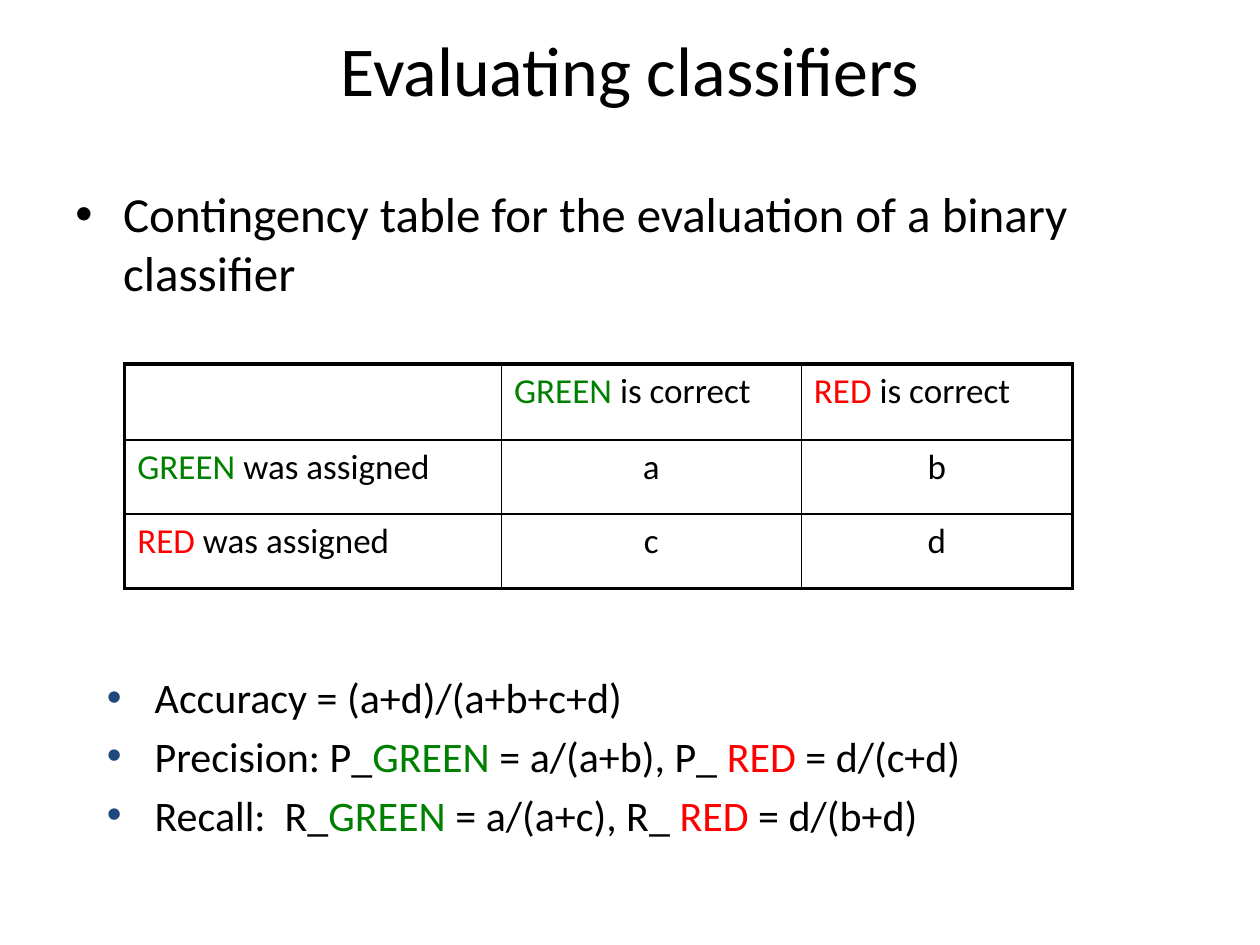
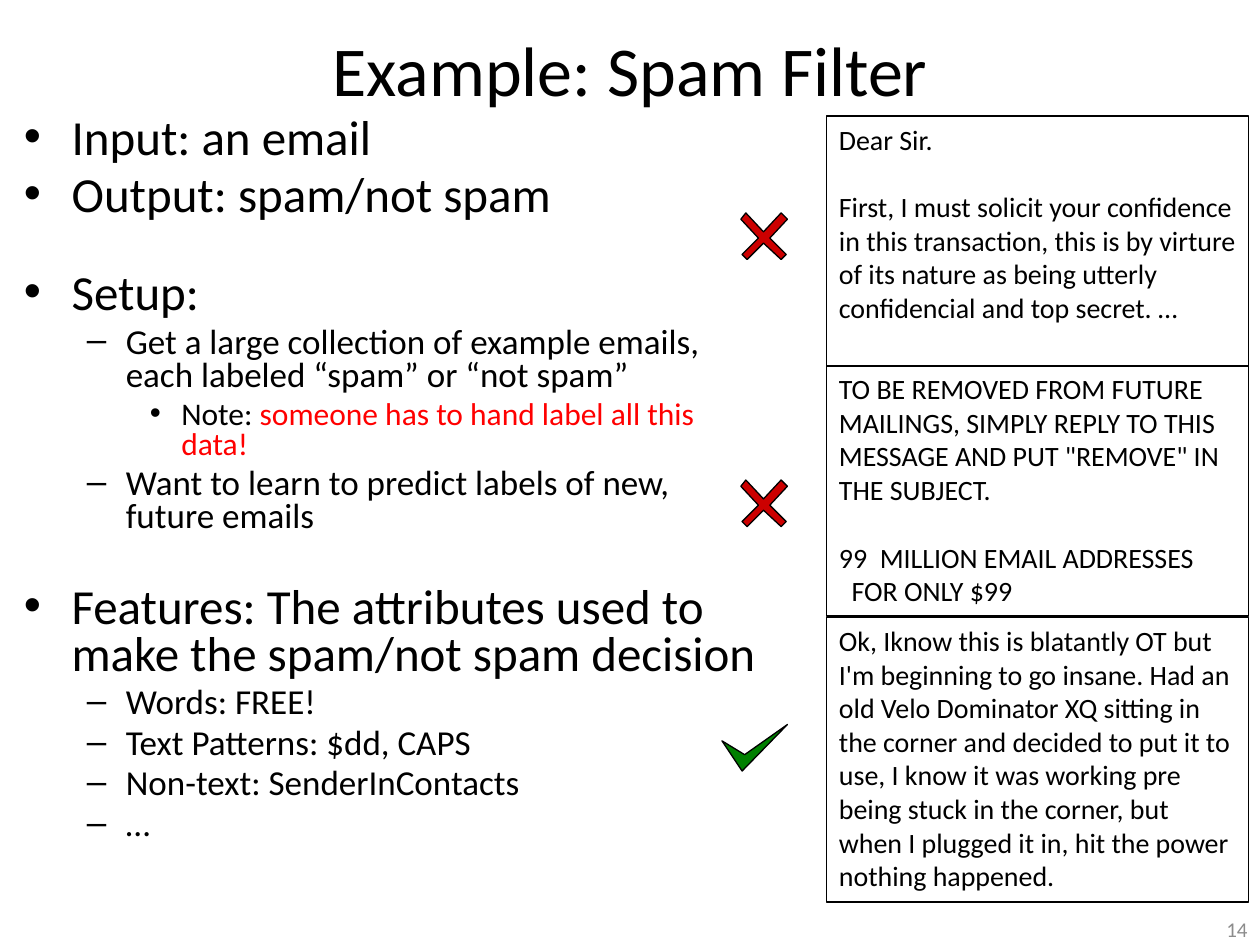
from pptx import Presentation
from pptx.dml.color import RGBColor
from pptx.enum.shapes import MSO_SHAPE
from pptx.enum.text import MSO_ANCHOR, PP_ALIGN
from pptx.oxml.ns import qn
from pptx.util import Inches, Pt
from lxml import etree

LEFT, CENTER, RIGHT = PP_ALIGN.LEFT, PP_ALIGN.CENTER, PP_ALIGN.RIGHT
TOP, MIDDLE = MSO_ANCHOR.TOP, MSO_ANCHOR.MIDDLE
RECTANGLE = MSO_SHAPE.RECTANGLE

BLACK = RGBColor(0x00, 0x00, 0x00)
GREEN = RGBColor(0x00, 0x80, 0x00)
RED = RGBColor(0xFF, 0x00, 0x00)
CROSS_RED = RGBColor(0xCC, 0x00, 0x00)
NAVY = RGBColor(0x1F, 0x49, 0x7D)
GRAY = RGBColor(0x8C, 0x8C, 0x8C)
FONT = "Calibri"

# Pieces of text between bars that take their own colour
NOTE = "someone has to hand label all this data!"
ACCENTS = {"GREEN": GREEN, "RED": RED, NOTE: RED}

# Bullet levels: mark, left margin and hang in inches
LEVELS = [("•", 0.38, 0.38), ("–", 0.81, 0.31), ("•", 1.25, 0.25)]

prs = Presentation()
prs.slide_width, prs.slide_height = Inches(10), Inches(7.5)
COL = prs.slide_width // 100    # the slide is a grid of 100 columns
ROW = prs.slide_height // 75    # and 75 rows


def add_text(tf, lines, color=BLACK, align=LEFT, anchor=TOP, spacing=None, mark_color=None):
    """Write lines of (text, size, bullet level or None, extra space before)."""
    tf.word_wrap = True
    tf.vertical_anchor = anchor
    for i, (text, size, level, gap) in enumerate(lines):
        p = tf.add_paragraph() if i else tf.paragraphs[0]
        p.alignment = align
        if spacing:
            p.line_spacing = spacing
        p.space_before = Pt(gap if level is None else gap + 0.2 * size)
        for piece in text.split("|"):
            r = p.add_run()
            r.text = piece
            r.font.name, r.font.size = FONT, Pt(size)
            r.font.color.rgb = ACCENTS.get(piece.strip(), color)
        if level is not None:
            mark, margin, hang = LEVELS[level]
            pPr = p._p.get_or_add_pPr()
            pPr.set("marL", str(Inches(margin)))
            pPr.set("indent", str(-Inches(hang)))
            if mark_color:
                clr = etree.SubElement(pPr, qn("a:buClr"))
                etree.SubElement(clr, qn("a:srgbClr"), val=str(mark_color))
            etree.SubElement(pPr, qn("a:buFont"), typeface="Arial")
            etree.SubElement(pPr, qn("a:buChar"), char=mark)


def add_box(s, x, y, w, h, lines, **style):
    """Place a text box on the grid."""
    sp = s.shapes.add_textbox(int(x * COL), int(y * ROW), int(w * COL), int(h * ROW))
    add_text(sp.text_frame, lines, **style)


# Both slides: title
slides = []
for title in ("Evaluating classifiers", "Example: Spam Filter"):
    s = prs.slides.add_slide(prs.slide_layouts[6])
    add_box(s, 0, 0, 100, 10.8, [(title, 40, None, 0)], align=CENTER, anchor=MIDDLE)
    slides.append(s)
metrics, spam = slides

# Slide 1: introduction and formulas
add_box(metrics, 5, 14.1, 85, 13.3,
        [("Contingency table for the evaluation of a binary classifier", 28, 0, 0)])
formulas = [
    "Accuracy = (a+d)/(a+b+c+d)",
    "Precision: P_|GREEN| = a/(a+b), P_ |RED |= d/(c+d)",
    "Recall:  R_|GREEN| = a/(a+c), R_ |RED |= d/(b+d)",
]
add_box(metrics, 7.5, 52.8, 85, 16, [(f, 24, 0, 0) for f in formulas], mark_color=NAVY)

# Slide 1: contingency table
rows = [
    ("", "GREEN| is correct", "RED| is correct"),
    ("GREEN| was assigned", "a", "b"),
    ("RED| was assigned", "c", "d"),
]
widths, heights = (29.9, 23.8, 21.5), (6, 5.9, 5.9)
table = metrics.shapes.add_table(3, 3, int(9.9 * COL), int(28.9 * ROW),
                                 int(sum(widths) * COL), int(sum(heights) * ROW)).table
table.first_row = table.horz_banding = False
for i in range(3):
    table.columns[i].width = int(widths[i] * COL)
    table.rows[i].height = int(heights[i] * ROW)
for i, row in enumerate(rows):
    for j, text in enumerate(row):
        cell = table.cell(i, j)
        if text:
            add_text(cell.text_frame, [(text, 20, None, 0)],
                     align=CENTER if i and j else LEFT)
        # Thick outer frame, thin inner lines
        tcPr = cell._tc.get_or_add_tcPr()
        for side, outer in (("L", j == 0), ("R", j == 2), ("T", i == 0), ("B", i == 2)):
            ln = etree.SubElement(tcPr, qn("a:ln" + side), w=str(Pt(2.25 if outer else 1)))
            fill = etree.SubElement(ln, qn("a:solidFill"))
            etree.SubElement(fill, qn("a:srgbClr"), val=str(BLACK))
        cell.fill.background()

# Slide 2: outline
SECTION = 23.5    # extra space before a new section
outline = [
    ("Input: an email", 28, 0, 0),
    ("Output: spam/not spam", 28, 0, 0),
    ("Setup:", 28, 0, SECTION),
    ("Get a large collection of example emails, each labeled “spam” or “not spam”", 20, 1, 0),
    ("Note: |" + NOTE, 18, 2, 0),
    ("Want to learn to predict labels of new, future emails", 20, 1, 0),
    ("Features: The attributes used to make the spam/not spam decision", 28, 0, SECTION),
    ("Words: FREE!", 20, 1, 0),
    ("Text Patterns: $dd, CAPS", 20, 1, 0),
    ("Non-text: SenderInContacts", 20, 1, 0),
    ("…", 20, 1, 0),
]
add_box(spam, 0.9, 8.9, 60.8, 60, outline, spacing=0.8)

# Slide 2: sample emails, as (top, height, lines)
LINE = 19.5    # one line of 16 pt text
emails = [
    (9.2, 19.9, [
        ("Dear Sir.", 16, None, 0),
        ("First, I must solicit your confidence in this transaction, this is by virture "
         "of its nature as being utterly confidencial and top secret. …", 16, None, LINE)]),
    (29, 19.9, [
        ("TO BE REMOVED FROM FUTURE MAILINGS, SIMPLY REPLY TO THIS MESSAGE AND PUT "
         "\"REMOVE\" IN THE SUBJECT.", 16, None, 0),
        ("99  MILLION EMAIL ADDRESSES", 16, None, LINE),
        ("FOR ONLY $99", 16, None, 0)]),
    (49, 22.6, [
        ("Ok, Iknow this is blatantly OT but I'm beginning to go insane. Had an old "
         "Velo Dominator XQ sitting in the corner and decided to put it to use, I know it "
         "was working pre being stuck in the corner, but when I plugged it in, hit the "
         "power nothing happened.", 16, None, 0)]),
]
for top, height, lines in emails:
    sp = spam.shapes.add_shape(RECTANGLE, int(65.6 * COL), int(top * ROW),
                               int(33.5 * COL), int(height * ROW))
    sp.shadow.inherit = False
    sp.fill.background()
    sp.line.color.rgb, sp.line.width = BLACK, Pt(0.75)
    add_text(sp.text_frame, lines)
    if len(lines) == 3:
        sp.text_frame.paragraphs[2]._p.get_or_add_pPr().set("marL", str(Inches(0.1)))

# Slide 2: verdict marks, outlined around their centres
CHECK = [(-1, 1.8), (2.6, -1.9), (-0.8, 0.5), (-2.6, -0.6)]
CROSS = [(-1.8, -1.5), (-0.4, 0), (-1.7, 1.3), (-1.3, 1.7), (0, 0.4), (1.4, 1.7),
         (1.8, 1.3), (0.5, 0), (1.9, -1.5), (1.4, -2), (0, -0.5), (-1.4, -2)]
for outline_points, x, y, color in ((CHECK, 59.9, 59.4, GREEN),
                                    (CROSS, 60.6, 18.9, CROSS_RED),
                                    (CROSS, 60.6, 40.1, CROSS_RED)):
    points = [((x + dx) * COL, (y + dy) * ROW) for dx, dy in outline_points]
    builder = spam.shapes.build_freeform(*points[0])
    builder.add_line_segments(points[1:], close=True)
    sp = builder.convert_to_shape()
    sp.shadow.inherit = False
    sp.fill.solid()
    sp.fill.fore_color.rgb = color
    sp.line.color.rgb, sp.line.width = BLACK, Pt(0.75)

# Slide 2: page number
add_box(spam, 76.7, 72.5, 23.3, 2.5, [("14", 12, None, 0)],
        color=GRAY, align=RIGHT, anchor=MIDDLE)

prs.save("out.pptx")
